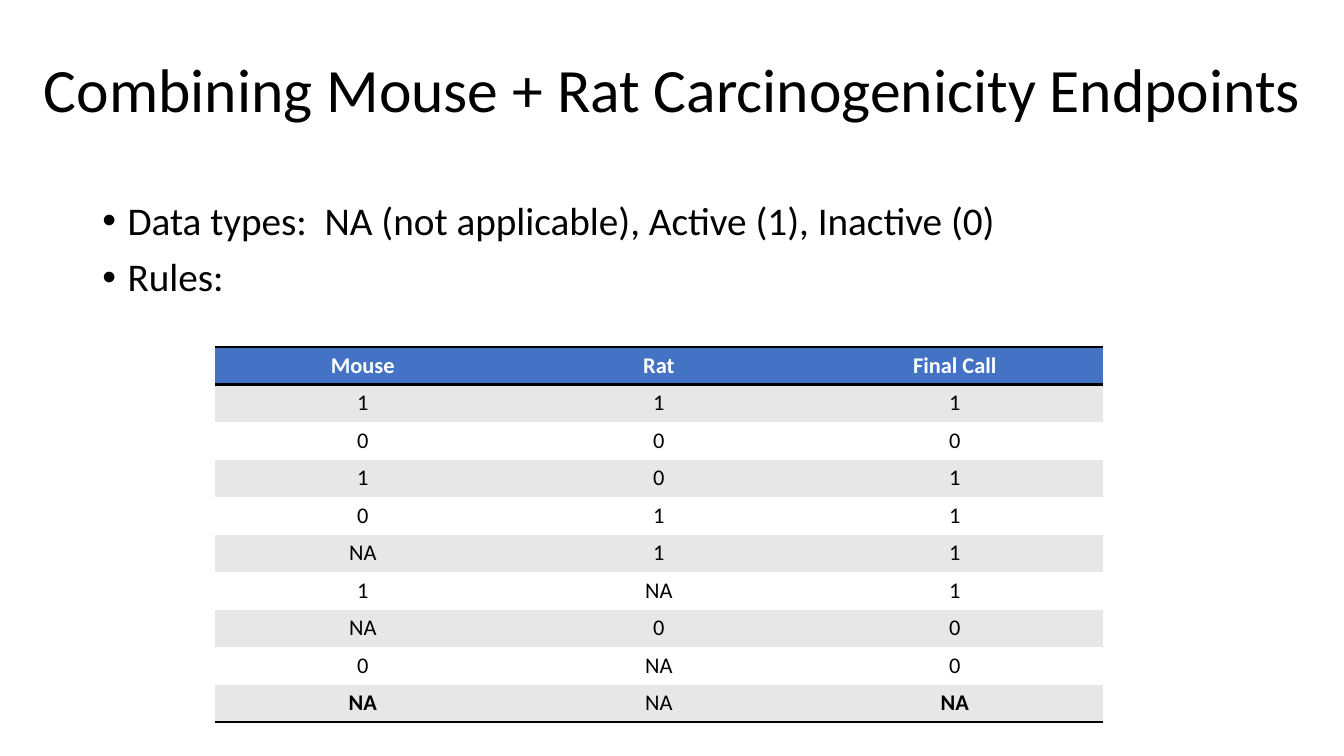
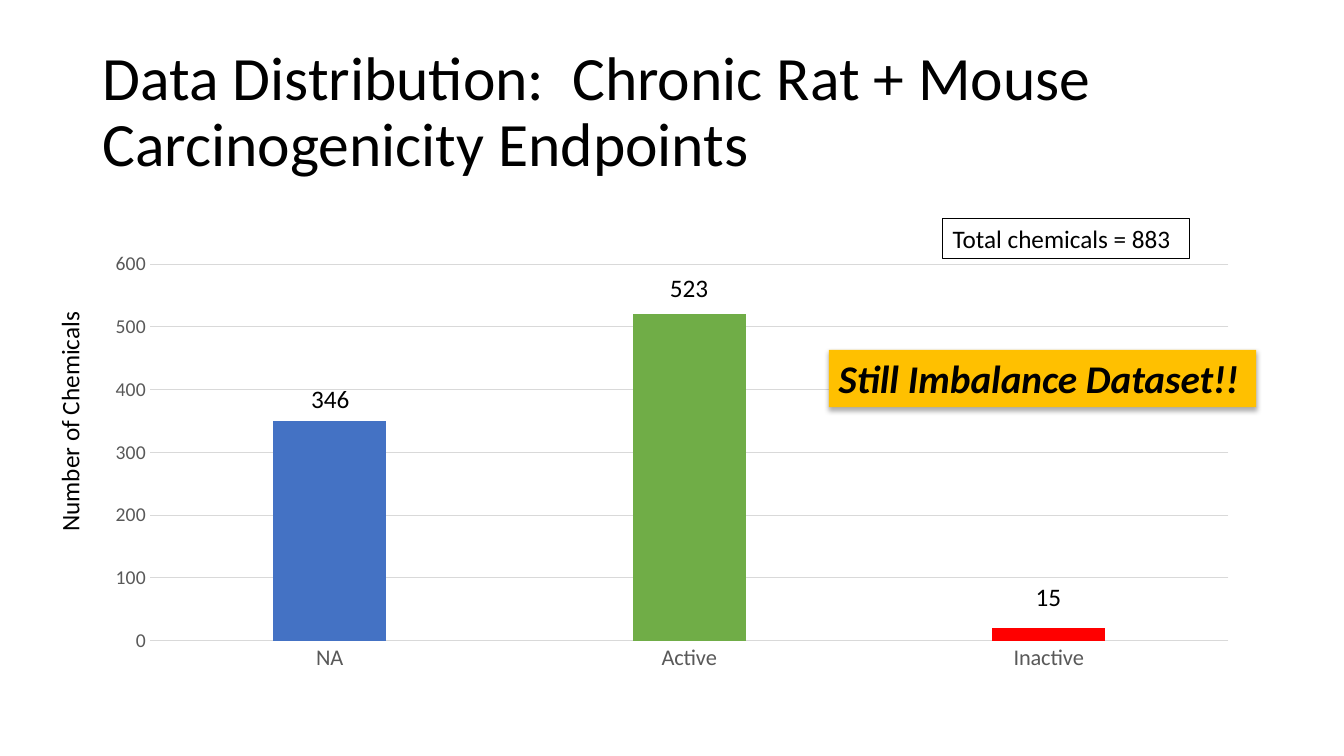
from pptx import Presentation
from pptx.chart.data import CategoryChartData
from pptx.dml.color import RGBColor
from pptx.enum.chart import XL_CHART_TYPE as CHART, XL_TICK_MARK as TICK
from pptx.enum.shapes import MSO_SHAPE as SHAPE
from pptx.enum.text import MSO_ANCHOR as ANCHOR, PP_ALIGN as ALIGN
from pptx.oxml import parse_xml
from pptx.oxml.ns import nsdecls, qn
from pptx.util import Inches, Pt

FONT, BULLET_FONT = "Calibri", "Arial"
COLORS = {
    "text": "000000", "white": "FFFFFF", "blue": "4472C4", "green": "70AD47",
    "red": "FF0000", "amber": "FFC000", "band": "E7E7E7", "grid": "D9D9D9",
    "axis": "595959",
}
NO_TABLE_STYLE = "{2D5ABB26-0587-4C30-8999-92F81FD0307C}"
MARGIN, CONTENT_W, TITLE_H = 6.88, 86.25, 19.33


def rgb(name):
    return RGBColor.from_string(COLORS[name])


def within(box, x, y, w, h):
    left, top, width, height = box
    return (int(left + width * x / 100), int(top + height * y / 100),
            int(width * w / 100), int(height * h / 100))


def style_font(font, size, color="text", bold=False, italic=False):
    font.name, font.size = FONT, Pt(size)
    font.bold, font.italic = bold, italic
    font.color.rgb = rgb(color)


def write(sp, lines, size, anchor=ANCHOR.TOP, spacing=None, **style):
    tf = sp.text_frame
    tf.word_wrap = True
    tf.vertical_anchor = anchor
    tf.text = "\n".join(lines)
    for p in tf.paragraphs:
        p.alignment = ALIGN.LEFT
        p.line_spacing = spacing
        style_font(p.font, size, **style)
    return sp


def add_text(s, box, lines, size, **options):
    return write(s.shapes.add_textbox(*box), lines, size, **options)


def add_panel(s, box, line, size, fill, outline=None, **style):
    sp = s.shapes.add_shape(SHAPE.RECTANGLE, *box)
    sp.shadow.inherit = False
    sp.fill.solid()
    sp.fill.fore_color.rgb = rgb(fill)
    if outline:
        sp.line.color.rgb = rgb(outline)
        sp.line.width = Pt(0.75)
    else:
        sp.line.fill.background()
    return write(sp, [line], size, **style)


def add_shadow(sp):
    effects = sp._element.spPr.find(qn("a:effectLst"))
    effects.append(parse_xml(
        f'<a:outerShdw {nsdecls("a")} blurRad="{Pt(3.5)}" dist="{Pt(2.2)}" '
        f'dir="5400000" rotWithShape="0"><a:srgbClr val="{COLORS["text"]}">'
        '<a:alpha val="32000"/></a:srgbClr></a:outerShdw>'))


def add_title(s, box, title):
    add_text(s, box, [title], 44, anchor=ANCHOR.MIDDLE, spacing=0.9)


def add_bullets(s, box, lines):
    sp = add_text(s, box, lines, 28, spacing=0.9)
    for p in sp.text_frame.paragraphs:
        p.space_before = Pt(10)
        pPr = p._p.get_or_add_pPr()
        pPr.set("marL", str(Inches(0.25)))
        pPr.set("indent", str(-Inches(0.25)))
        for tag in (f'buFont {nsdecls("a")} typeface="{BULLET_FONT}"',
                    f'buChar {nsdecls("a")} char="•"'):
            pPr.insert_element_before(parse_xml(f"<a:{tag}/>"),
                                      "a:tabLst", "a:defRPr", "a:extLst")


def add_border(cell, side):
    cell._tc.get_or_add_tcPr().append(parse_xml(
        f'<a:{side} {nsdecls("a")} w="{Pt(2)}"><a:solidFill>'
        f'<a:srgbClr val="{COLORS["text"]}"/></a:solidFill></a:{side}>'))


def add_rules_table(s, box, rows, bold_cells):
    table = s.shapes.add_table(len(rows), len(rows[0]), *box).table
    table._tbl.tblPr.find(qn("a:tableStyleId")).text = NO_TABLE_STYLE
    last = len(rows) - 1
    for i, row in enumerate(rows):
        for j, value in enumerate(row):
            cell = table.cell(i, j)
            if i == 0:
                add_border(cell, "lnT")
            if i in (0, last):
                add_border(cell, "lnB")
            cell.fill.solid()
            cell.fill.fore_color.rgb = rgb(
                "blue" if i == 0 else "band" if i % 2 else "white")
            cell.vertical_anchor = ANCHOR.MIDDLE
            cell.text = value
            p = cell.text_frame.paragraphs[0]
            p.alignment = ALIGN.CENTER
            style_font(p.font, 16, "text" if i else "white",
                       bold=i == 0 or (i, j) in bold_cells)


def add_column_chart(s, box, counts, colors):
    data = CategoryChartData()
    data.categories = list(counts)
    data.add_series("Series 1", list(counts.values()))
    chart = s.shapes.add_chart(CHART.COLUMN_CLUSTERED, *box, data).chart
    chart.has_legend = chart.has_title = False
    style_font(chart.font, 10)
    plot = chart.plots[0]
    plot.gap_width, plot.overlap, plot.vary_by_categories = 219, -27, False
    for i, color in enumerate(colors):
        fill = plot.series[0].points[i].format.fill
        fill.solid()
        fill.fore_color.rgb = rgb(color)
    cats, vals = chart.category_axis, chart.value_axis
    for axis, size in ((cats, 16), (vals, 14)):
        axis.major_tick_mark = axis.minor_tick_mark = TICK.NONE
        style_font(axis.tick_labels.font, size, "axis")
    vals.minimum_scale, vals.maximum_scale, vals.major_unit = 0, 600, 100
    vals.format.line.fill.background()
    for line in (cats.format.line, vals.major_gridlines.format.line):
        line.color.rgb = rgb("grid")
        line.width = Pt(0.75)


def add_distribution(s, box, counts, colors, labels):
    add_column_chart(s, box, counts, colors)
    for label, left, top in labels:
        add_text(s, within(box, left, top, 5.3, 9.22), [label], 18)
    axis_title = add_text(s, within(box, -12.43, 35.94, 20.87, 9.22),
                          ["Number of Chemicals"], 18)
    axis_title.rotation = 270
    callout = add_panel(s, within(box, 63.52, 24.35, 36.87, 13.13),
                        "Still Imbalance Dataset!!", 28, "amber",
                        bold=True, italic=True)
    add_shadow(callout)
    add_panel(s, within(box, 73.35, -5.76, 21.3, 9.22),
              "Total chemicals = 883", 18, "white", outline="text")


def rules_slide(prs, page):
    s = prs.slides.add_slide(prs.slide_layouts[6])
    add_title(s, within(page, 2.52, 2.6, 96.6, TITLE_H),
              "Combining Mouse + Rat Carcinogenicity Endpoints")
    add_bullets(s, within(page, MARGIN, 26, CONTENT_W, 63.5), [
        "Data types:  NA (not applicable), Active (1), Inactive (0)", "Rules:"])
    rows = [
        ("Mouse", "Rat", "Final Call"),
        ("1", "1", "1"),
        ("0", "0", "0"),
        ("1", "0", "1"),
        ("0", "1", "1"),
        ("NA", "1", "1"),
        ("1", "NA", "1"),
        ("NA", "0", "0"),
        ("0", "NA", "0"),
        ("NA", "NA", "NA"),
    ]
    add_rules_table(s, within(page, 15.98, 45.9, 66.08, 49.65), rows,
                    {(9, 0), (9, 2)})


def distribution_slide(prs, page):
    s = prs.slides.add_slide(prs.slide_layouts[6])
    add_title(s, within(page, MARGIN, 5.33, CONTENT_W, TITLE_H),
              "Data Distribution:  Chronic Rat + Mouse Carcinogenicity Endpoints")
    add_distribution(s, within(page, MARGIN, 32.18, CONTENT_W, 57.87),
                     {"NA": 350, "Active": 520, "Inactive": 20},
                     ("blue", "green", "red"),
                     [("346", 18, 30.88), ("523", 48.96, 5.53),
                      ("15", 80.52, 76.04)])


prs = Presentation()
prs.slide_width, prs.slide_height = Inches(13.33), Inches(7.5)
page = (0, 0, prs.slide_width, prs.slide_height)
rules_slide(prs, page)
distribution_slide(prs, page)
prs.save("out.pptx")
